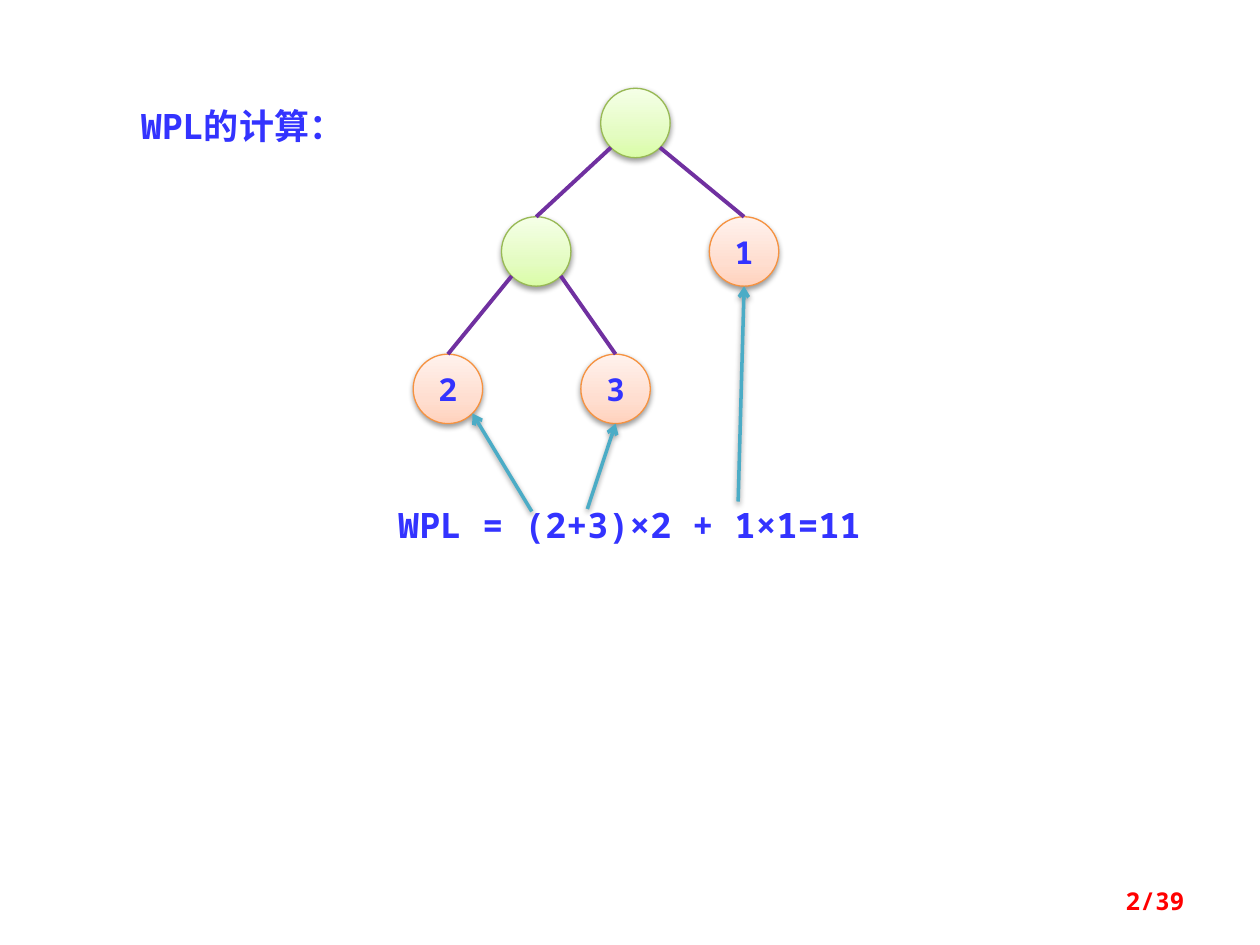
from copy import deepcopy
from math import sqrt

from pptx import Presentation
from pptx.dml.color import RGBColor
from pptx.enum.shapes import MSO_CONNECTOR as LINK, MSO_SHAPE as SHAPE
from pptx.enum.text import MSO_ANCHOR as ANCHOR, PP_ALIGN as ALIGN
from pptx.oxml.ns import qn
from pptx.util import Cm, Pt
from lxml.etree import SubElement

COLORS = {"text": "3333FF", "page": "FF0000", "branch": "7030A0", "arrow": "4BACC6",
          "inner_line": "98B955", "leaf_line": "F69240", "shadow": "000000"}
GRADIENTS = {"inner": ("DAFDA7", "E4FCC2", "F5FFE7"),
             "leaf": ("FFD2BD", "FFDED0", "FFF2ED")}
STOPS = (0, 0.35, 1)
DIAMETER = 1.4
RADIUS = DIAMETER / 2
DIAGONAL = RADIUS / sqrt(2)

NODES = {"root": (12.81, 2.48, "inner", ""), "inner": (10.81, 5.07, "inner", ""),
         "one": (15, 5.07, "leaf", "1"), "two": (9.03, 7.84, "leaf", "2"),
         "three": (12.41, 7.84, "leaf", "3")}
BRANCHES = (("root", "inner", -1), ("root", "one", 1),
            ("inner", "two", -1), ("inner", "three", 1))
ARROWS = ((10.72, 10.31, "two", DIAGONAL, DIAGONAL),
          (11.84, 10.26, "three", 0, RADIUS),
          (14.88, 10.11, "one", 0, RADIUS))


def color(name):
    return RGBColor.from_string(COLORS[name])


def write(frame, text, align, size, tint="text"):
    para = frame.paragraphs[0]
    para.alignment = align
    span = para.add_run()
    span.text = text
    for key, value in {"name": "Noto Sans Mono", "size": Pt(size), "bold": True}.items():
        setattr(span.font, key, value)
    span.font.color.rgb = color(tint)


def add_text(page, place, text, align, size, tint="text", anchor=ANCHOR.TOP):
    box = page.shapes.add_textbox(*map(Cm, place))
    box.text_frame.word_wrap = True
    box.text_frame.vertical_anchor = anchor
    write(box.text_frame, text, align, size, tint)


def drop_shadow(effects):
    shadow = SubElement(effects, qn("a:outerShdw"), blurRad="40000", dist="20000",
                        dir="5400000", rotWithShape="0")
    tint = SubElement(shadow, qn("a:srgbClr"), val=COLORS["shadow"])
    SubElement(tint, qn("a:alpha"), val="38000")


def add_node(page, x, y, kind, label):
    node = page.shapes.add_shape(SHAPE.OVAL, Cm(x - RADIUS), Cm(y - RADIUS),
                                 Cm(DIAMETER), Cm(DIAMETER))
    node.fill.gradient()
    node.fill.gradient_angle = 90
    stop_list = node._element.spPr.find(".//" + qn("a:gsLst"))
    stop_list.append(deepcopy(stop_list[0]))
    for stop, position, tint in zip(node.fill.gradient_stops, STOPS, GRADIENTS[kind]):
        stop.position = position
        stop.color.rgb = RGBColor.from_string(tint)
    node.line.color.rgb = color(kind + "_line")
    node.line.width = Pt(0.75)
    node.shadow.inherit = False
    drop_shadow(node._element.spPr.find(qn("a:effectLst")))
    if label:
        frame = node.text_frame
        frame.vertical_anchor = ANCHOR.MIDDLE
        for side in ("left", "right", "top", "bottom"):
            setattr(frame, "margin_" + side, 0)
        write(frame, label, ALIGN.CENTER, 18)
    return node


def add_line(page, points, tint, width):
    line = page.shapes.add_connector(LINK.STRAIGHT, *map(Cm, points))
    line.line.color.rgb = color(tint)
    line.line.width = Pt(width)
    return line, SubElement(line._element.spPr, qn("a:effectLst"))


def add_branch(page, parent, child, side, nodes):
    x, y = NODES[parent][:2]
    end_x, end_y = NODES[child][:2]
    line, _ = add_line(page, (x + side * DIAGONAL, y + DIAGONAL, end_x, end_y - RADIUS),
                       "branch", 2.25)
    line.end_connect(nodes[child], 0)


def add_arrow(page, x, y, target, shift_x, shift_y):
    end_x, end_y = NODES[target][:2]
    line, effects = add_line(page, (x, y, end_x + shift_x, end_y + shift_y), "arrow", 2)
    SubElement(line.line._get_or_add_ln(), qn("a:tailEnd"), type="arrow")
    drop_shadow(effects)


def main():
    """Build the slide on the weighted path length of a small tree."""
    deck = Presentation()
    deck.slide_width, deck.slide_height = Cm(25.4), Cm(19.05)
    page = deck.slides.add_slide(deck.slide_layouts[6])
    nodes = {name: add_node(page, *node) for name, node in NODES.items()}
    for branch in BRANCHES:
        add_branch(page, *branch, nodes)
    add_text(page, (2.59, 1.98, 6.15, 1.12), "WPL的计算：", ALIGN.LEFT, 20)
    add_text(page, (6.55, 10.03, 12.29, 1.12), "WPL = (2+3)×2 + 1×1=11", ALIGN.CENTER, 20)
    for arrow in ARROWS:
        add_arrow(page, *arrow)
    add_text(page, (18.21, 17.65, 5.92, 1.02), "2/39", ALIGN.RIGHT, 14, "page", ANCHOR.MIDDLE)
    deck.save("out.pptx")


if __name__ == "__main__":
    main()
